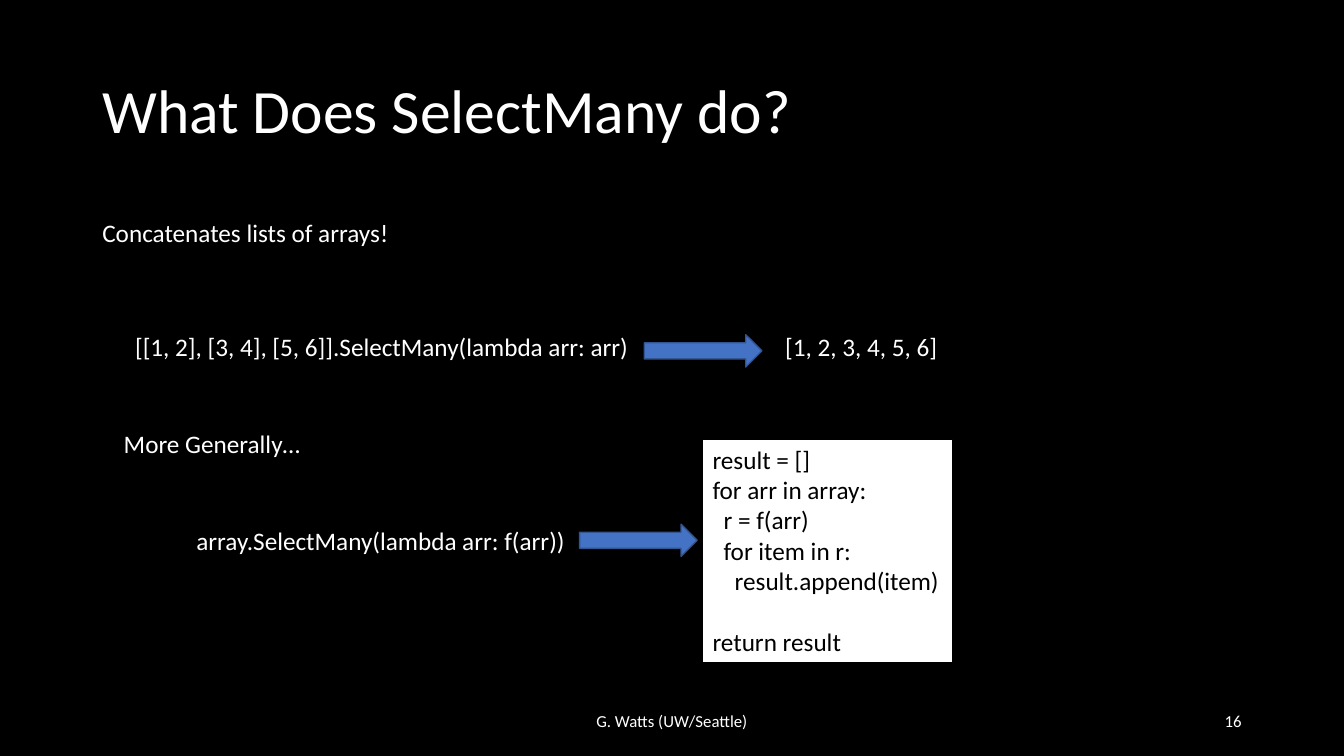
"""Build the slide that explains SelectMany."""
from dataclasses import dataclass

from pptx import Presentation
from pptx.dml.color import RGBColor
from pptx.enum.shapes import MSO_SHAPE
from pptx.enum.text import MSO_ANCHOR, PP_ALIGN
from pptx.util import Emu, Inches, Pt

RECT, ARROW = MSO_SHAPE.RECTANGLE, MSO_SHAPE.RIGHT_ARROW
TOP, MIDDLE = MSO_ANCHOR.TOP, MSO_ANCHOR.MIDDLE
LEFT, CENTER, RIGHT = PP_ALIGN.LEFT, PP_ALIGN.CENTER, PP_ALIGN.RIGHT

COLORS = {"black": "000000", "white": "FFFFFF", "blue": "4472C4", "edge": "325491"}
FONT = "Calibri"
COLS, ROWS = 160, 90
LINE_H = 4.8
MARGIN = 11
FOOTER_ROW = 83.4
ARROW_W, ARROW_H = 14, 3.84
INDENT, BLANK_LINE = Inches(0.11), Pt(22)


@dataclass
class Label:
    text: str
    col: float
    row: float
    width: float
    height: float = LINE_H
    size: int = 18
    align: PP_ALIGN = LEFT
    anchor: MSO_ANCHOR = TOP
    wrap: bool = False
    spacing: float = 1.0


@dataclass
class Arrow:
    col: float
    row: float


@dataclass
class CodeLine:
    text: str
    level: int = 0
    gap: bool = False


LABELS = [
    Label("What Does SelectMany do?", MARGIN, 4.8, 138, 17.4, 44,
          anchor=MIDDLE, wrap=True, spacing=0.9),
    Label("G. Watts (UW/Seattle)", 53, FOOTER_ROW, 54, size=12,
          align=CENTER, anchor=MIDDLE, wrap=True),
    Label("16", 113, FOOTER_ROW, 36, size=12, align=RIGHT, anchor=MIDDLE, wrap=True),
    Label("Concatenates lists of arrays!", MARGIN, 25.3, 36.8),
    Label("[[1, 2], [3, 4], [5, 6]].SelectMany(lambda arr: arr)", 14.9, 38.9, 61.8),
    Label("[1, 2, 3, 4, 5, 6]", 92.3, 38.9, 20.8),
    Label("array.SelectMany(lambda arr: f(arr))", 22.2, 61.9, 47),
    Label("More Generally…", 13.55, 50.4, 23.65),
]
ARROWS = [Arrow(76.7, 39.85), Arrow(69, 62.4)]
CODE_BOX = (83.65, 52.3, 29.75, 26.65)
CODE = [
    CodeLine("result = []"),
    CodeLine("for arr in array:"),
    CodeLine("r = f(arr)", 1),
    CodeLine("for item in r:", 1),
    CodeLine("result.append(item)", 2),
    CodeLine("return result", gap=True),
]

prs = Presentation()
prs.slide_width, prs.slide_height = Inches(13.33), Inches(7.5)
s = prs.slides.add_slide(prs.slide_layouts[6])


def rgb(name: str) -> RGBColor:
    """Look up a named colour."""
    return RGBColor.from_string(COLORS[name])


def place(col: float, row: float, width: float, height: float) -> list[Emu]:
    """Turn grid cells into slide lengths."""
    x, y = prs.slide_width / COLS, prs.slide_height / ROWS
    return [Emu(round(v)) for v in (col * x, row * y, width * x, height * y)]


def style(p, size: int, color: str) -> None:
    """Format every run of a paragraph."""
    for r in p.runs:
        r.font.name, r.font.size = FONT, Pt(size)
        r.font.color.rgb = rgb(color)


def draw_label(label: Label) -> None:
    """Draw a one-line text box."""
    box = place(label.col, label.row, label.width, label.height)
    tf = s.shapes.add_textbox(*box).text_frame
    tf.text = label.text
    tf.word_wrap, tf.vertical_anchor = label.wrap, label.anchor
    p = tf.paragraphs[0]
    p.alignment, p.line_spacing = label.align, label.spacing
    style(p, label.size, "white")


def draw_shape(kind: MSO_SHAPE, box: list[Emu], fill: str, line: str):
    """Draw a filled and outlined preset shape."""
    sp = s.shapes.add_shape(kind, *box)
    sp.shadow.inherit = False
    sp.fill.solid()
    sp.fill.fore_color.rgb = rgb(fill)
    sp.line.color.rgb = rgb(line)
    sp.line.width = Pt(1)
    return sp


def draw_arrow(arrow: Arrow) -> None:
    """Draw a block arrow from an expression to its result."""
    box = place(arrow.col, arrow.row, ARROW_W, ARROW_H)
    draw_shape(ARROW, box, "blue", "edge")


def draw_code(lines: list[CodeLine]) -> None:
    """Draw the code panel with indented lines."""
    tf = draw_shape(RECT, place(*CODE_BOX), "white", "black").text_frame
    tf.text = "\n".join(line.text for line in lines)
    tf.word_wrap, tf.vertical_anchor = False, TOP
    for p, line in zip(tf.paragraphs, lines):
        p.alignment = LEFT
        p._p.get_or_add_pPr().set("marL", str(line.level * INDENT))
        if line.gap:
            p.space_before = BLANK_LINE
        style(p, 18, "black")


s.background.fill.solid()
s.background.fill.fore_color.rgb = rgb("black")
for label in LABELS:
    draw_label(label)
for arrow in ARROWS:
    draw_arrow(arrow)
draw_code(CODE)
prs.save("out.pptx")
